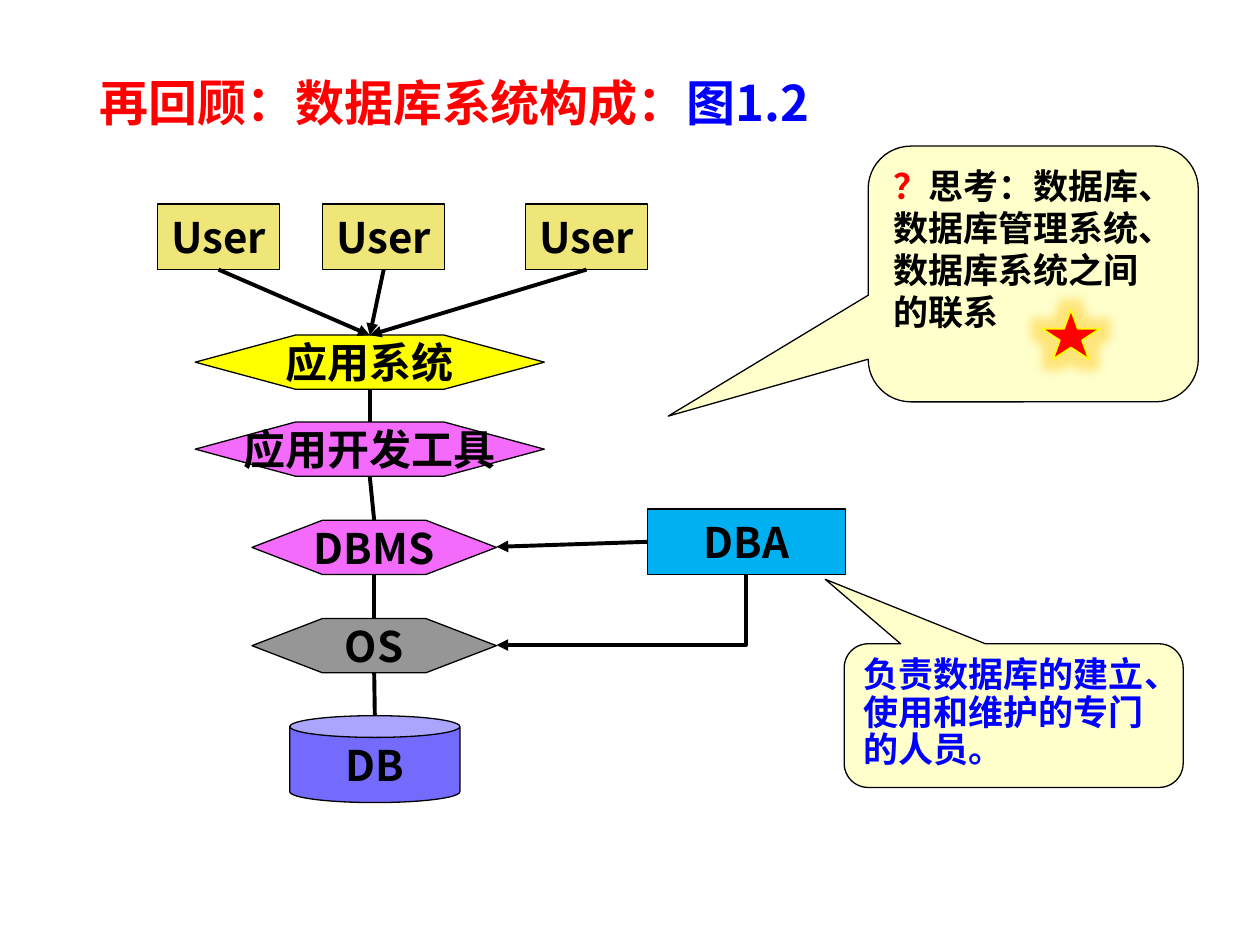
from lxml import etree
from pptx import Presentation
from pptx.dml.color import RGBColor
from pptx.enum.shapes import MSO_CONNECTOR, MSO_SHAPE
from pptx.enum.text import MSO_ANCHOR, PP_ALIGN
from pptx.oxml import parse_xml
from pptx.oxml.ns import qn
from pptx.util import Inches, Pt

RECTANGLE, HEXAGON, CAN = MSO_SHAPE.RECTANGLE, MSO_SHAPE.HEXAGON, MSO_SHAPE.CAN
CALLOUT, STAR = MSO_SHAPE.ROUNDED_RECTANGULAR_CALLOUT, MSO_SHAPE.STAR_5_POINT
STRAIGHT, ELBOW = MSO_CONNECTOR.STRAIGHT, MSO_CONNECTOR.ELBOW
TOP, MIDDLE = MSO_ANCHOR.TOP, MSO_ANCHOR.MIDDLE
LEFT, CENTER = PP_ALIGN.LEFT, PP_ALIGN.CENTER

BLACK = RGBColor(0x00, 0x00, 0x00)
RED = RGBColor(0xFF, 0x00, 0x00)
BLUE = RGBColor(0x00, 0x00, 0xFF)
YELLOW = RGBColor(0xFF, 0xFF, 0x00)
PINK = RGBColor(0xF4, 0x6B, 0xFB)
GRAY = RGBColor(0x96, 0x96, 0x96)
VIOLET = RGBColor(0x74, 0x6A, 0xFC)
SKY = RGBColor(0x00, 0xB0, 0xF0)
KHAKI = RGBColor(0xEE, 0xE6, 0x78)
CREAM = RGBColor(0xFF, 0xFF, 0xCC)
CJK_FONT, LATIN_FONT = "Noto Sans CJK SC", "Roboto"
BOTTOM_SIDE, LEFT_SIDE = 2, 1

deck = Presentation()
deck.slide_width, deck.slide_height = Inches(10), Inches(7.5)
page = deck.slides.add_slide(deck.slide_layouts[5])


def write(box, spans, size, font=CJK_FONT, align=CENTER, anchor=MIDDLE, wrap=False, spacing=None):
    """Fill the box with one bold paragraph of (text, colour) spans."""
    frame = box.text_frame
    frame.word_wrap, frame.vertical_anchor = wrap, anchor
    para = frame.paragraphs[0]
    para.alignment, para.line_spacing = align, spacing
    for text, color in spans:
        span = para.add_run()
        span.text = text
        for name, value in {"size": Pt(size), "bold": True, "name": font}.items():
            setattr(span.font, name, value)
        span.font.color.rgb = color
        east_asian = etree.SubElement(span.font._element, qn("a:ea"))
        east_asian.set("typeface", CJK_FONT)


def add_box(kind, place, fill, line=BLACK, width=0.75, adjust=()):
    box = page.shapes.add_shape(kind, *map(Inches, place))
    box.shadow.inherit = False
    box.fill.solid()
    box.fill.fore_color.rgb = fill
    box.line.color.rgb = line
    box.line.width = Pt(width)
    for index, value in enumerate(adjust):
        box.adjustments[index] = value
    return box


title = page.shapes.title
title.left, title.top, title.width, title.height = map(Inches, (0.69, 0.4, 8.62, 0.87))
write(title, [("再回顾：数据库系统构成：", RED), ("图1.2", BLUE)], 28, align=LEFT, wrap=True, spacing=0.9)

# Layers of the system, from the application down to the database
LAYERS = [
    ("应用系统", HEXAGON, (1.55, 2.66, 2.77, 0.43), YELLOW, 1.848),
    ("应用开发工具", HEXAGON, (1.55, 3.35, 2.77, 0.43), PINK, 1.848),
    ("DBMS", HEXAGON, (2, 4.13, 1.94, 0.43), PINK, 1.298),
    ("OS", HEXAGON, (2, 4.91, 1.94, 0.43), GRAY, 1.298),
    ("DB", CAN, (2.3, 5.68, 1.35, 0.69), VIOLET, 0.25),
]
for label, kind, place, fill, adjust in LAYERS:
    write(add_box(kind, place, fill, adjust=[adjust]), [(label, BLACK)], 24)

dba = add_box(RECTANGLE, (5.14, 4.04, 1.57, 0.52), SKY)
write(dba, [("DBA", BLACK)], 24)
users = [add_box(RECTANGLE, (left, 1.62, 0.97, 0.52), KHAKI) for left in (1.25, 2.56, 4.17)]
for user in users:
    write(user, [("User", BLACK)], 24)

# Links: start, end, arrowhead, and the box side the start is joined to
places = [place for _, _, place, _, _ in LAYERS]
tops = [(left + width / 2, top) for left, top, width, _ in places]
bottoms = [(x, y + place[3]) for (x, y), place in zip(tops, places)]
links = [(start, end, False, None) for start, end in zip(bottoms, tops[1:])]
links += [((0, 0), tops[0], True, (user, BOTTOM_SIDE)) for user in users]
links.append(((0, 0), (3.94, 4.34), True, (dba, LEFT_SIDE)))
ELBOW_LINK = ((4.65, 3.85), (5.21, 5.83), True, None)
for link in links + [ELBOW_LINK]:
    start, end, arrow, joint = link
    bent = link is ELBOW_LINK
    line = page.shapes.add_connector(ELBOW if bent else STRAIGHT, *map(Inches, start + end))
    if joint:
        line.begin_connect(*joint)
    line.line.color.rgb = BLACK
    line.line.width = Pt(2.25)
    properties = line._element.spPr
    if arrow:
        etree.SubElement(properties.find(qn("a:ln")), qn("a:tailEnd")).set("type", "triangle")
    if bent:  # one corner, turned a quarter so that it runs down and then left
        properties.find(qn("a:prstGeom")).set("prst", "bentConnector2")
        properties.find(qn("a:xfrm")).set("rot", "5400000")
    etree.SubElement(properties, qn("a:effectLst"))

duty = add_box(CALLOUT, (6.7, 5.11, 2.69, 1.14), CREAM, adjust=(-0.556, -0.949, 0.167))
write(duty, [("负责数据库的建立、使用和维护的专门的人员。", BLUE)], 20, LATIN_FONT, LEFT, TOP, True, 0.9)

question = add_box(CALLOUT, (6.89, 1.16, 2.62, 2.03), CREAM, adjust=(-1.106, 0.556, 0.167))
write(question, [("？", RED), ("思考：数据库、数据库管理系统、数据库系统之间的联系", BLACK)],
      20, CJK_FONT, LEFT, TOP, True)

star = add_box(STAR, (8.27, 2.46, 0.46, 0.39), RED, YELLOW, 1)
star._element.spPr.find(qn("a:effectLst")).append(parse_xml(
    '<a:glow xmlns:a="http://schemas.openxmlformats.org/drawingml/2006/main" rad="139700">'
    '<a:srgbClr val="FFC000"><a:alpha val="40000"/></a:srgbClr></a:glow>'))

deck.save("out.pptx")
